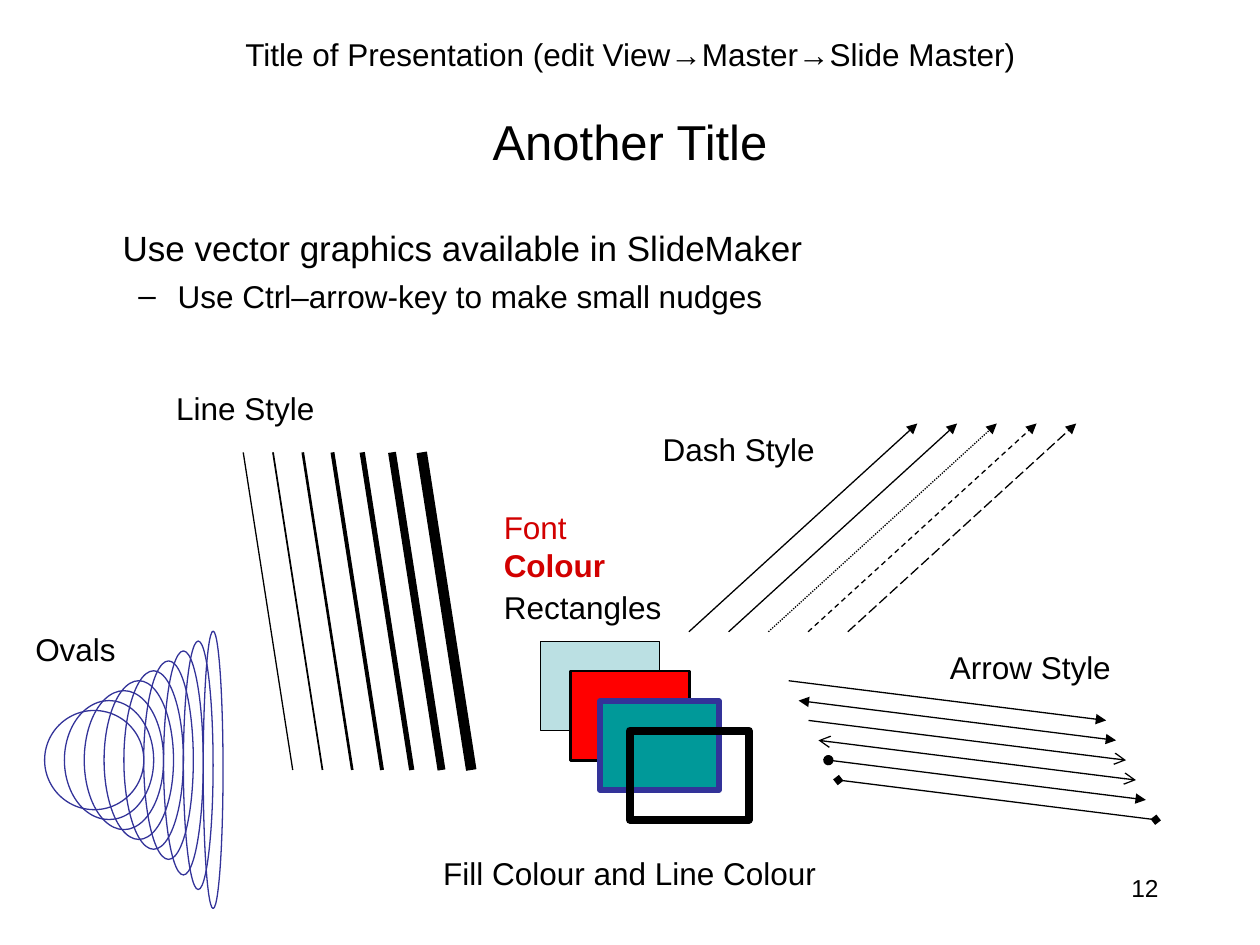
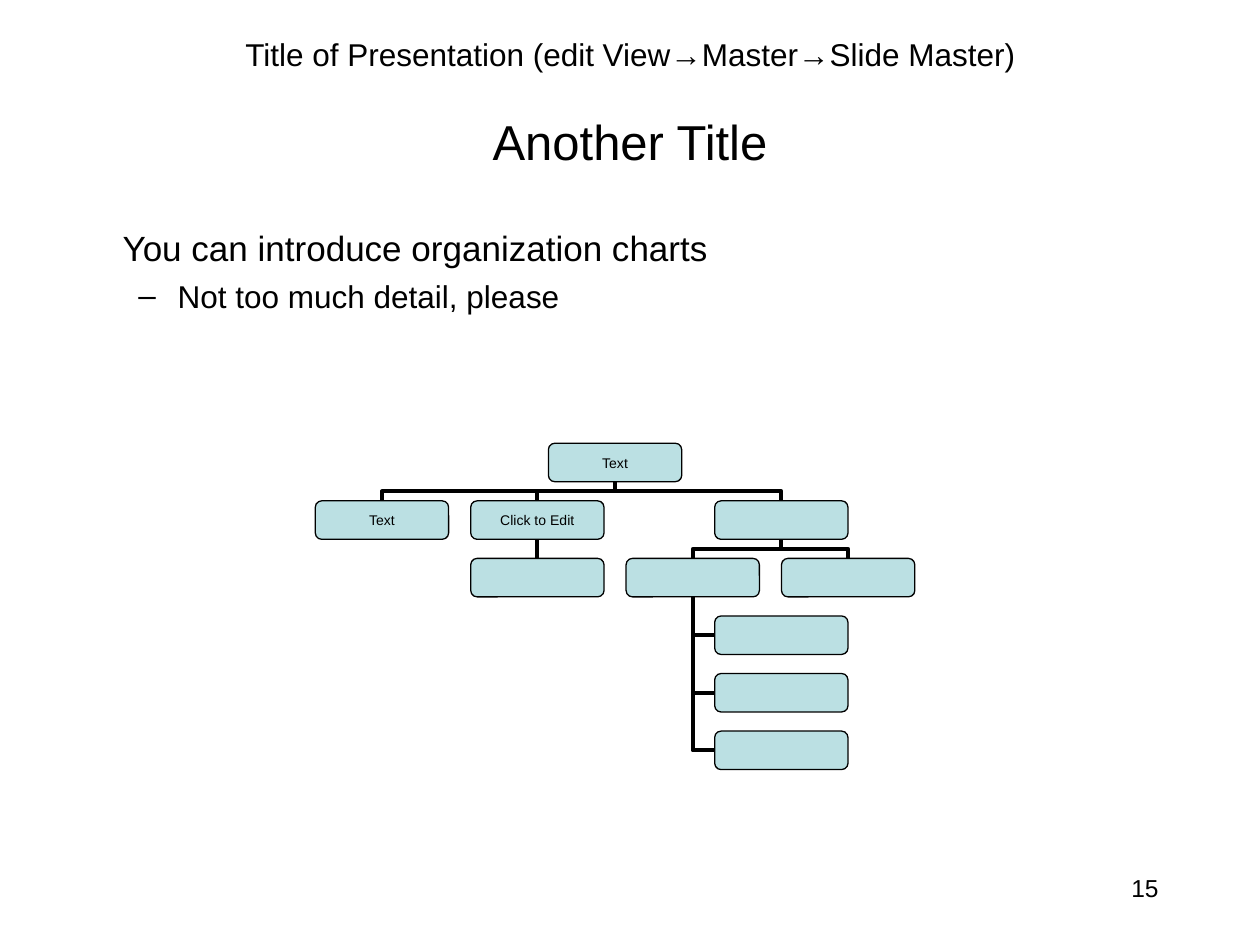
from dataclasses import dataclass

from lxml import etree
from pptx import Presentation
from pptx.dml.color import RGBColor
from pptx.enum import dml, shapes, text
from pptx.oxml import ns
from pptx.util import Pt


@dataclass(frozen=True)
class Theme:
    font: str = "Arial"
    black: str = "000000"
    pale: str = "BBE0E3"
    red: str = "FF0000"
    teal: str = "009999"
    indigo: str = "333399"
    warning: str = "D20000"
    title_size: int = 28
    lead_size: int = 20
    text_size: int = 18
    number_size: int = 14
    node_size: int = 8
    hairline: float = 0.75


THEME = Theme()
DASH = dml.MSO_LINE
KIND = shapes.MSO_SHAPE
STRAIGHT = shapes.MSO_CONNECTOR.STRAIGHT
ELBOW = shapes.MSO_CONNECTOR.ELBOW
CENTER = text.PP_ALIGN.CENTER
MIDDLE = text.MSO_ANCHOR.MIDDLE


def color(code):
    return RGBColor.from_string(code)


def points(*values):
    return [Pt(round(value, 2)) for value in values]


# Basic parts

def add_span(para, words, size=THEME.text_size, ink=THEME.black, bold=False):
    span = para.add_run()
    span.text = words
    span.font.name = THEME.font
    span.font.size = Pt(size)
    span.font.bold = bold
    span.font.color.rgb = color(ink)


def add_text(page, words, box, align=None, anchor=None, wrap=True, **style):
    holder = page.shapes.add_textbox(*points(*box))
    frame = holder.text_frame
    frame.word_wrap = wrap
    frame.vertical_anchor = anchor
    para = frame.paragraphs[0]
    para.alignment = align
    if words:
        add_span(para, words, **style)
    return frame


def add_label(page, words, left, top, width, **style):
    return add_text(page, words, (left, top, width, 28.8), wrap=False, **style)


def add_figure(page, kind, box, fill=None, ink=THEME.black, weight=THEME.hairline):
    figure = page.shapes.add_shape(kind, *points(*box))
    figure.shadow.inherit = False
    if fill:
        figure.fill.solid()
        figure.fill.fore_color.rgb = color(fill)
    else:
        figure.fill.background()
    figure.line.color.rgb = color(ink)
    figure.line.width = Pt(weight)
    return figure


def add_line(page, start, end, kind=STRAIGHT, weight=THEME.hairline,
             dash=None, head=None, tail=None):
    line = page.shapes.add_connector(kind, *points(*start, *end))
    line.line.color.rgb = color(THEME.black)
    line.line.width = Pt(weight)
    if dash:
        line.line.dash_style = dash
    properties = line._element.spPr
    outline = properties.find(ns.qn("a:ln"))
    for tag, tip in (("a:headEnd", head), ("a:tailEnd", tail)):
        if tip:
            etree.SubElement(outline, ns.qn(tag), type=tip)
    etree.SubElement(properties, ns.qn("a:effectLst"))
    return line


# Shared frame: running head, title, body text and slide number

def add_page(deck, number, title, lead, point):
    page = deck.slides.add_slide(deck.slide_layouts[6])
    add_text(page, "Title of Presentation (edit View→Master→Slide Master)",
             (37.4, 16.6, 645.8, 28.8), align=CENTER)
    add_text(page, str(number), (639.4, 495.4, 78.5, 24.5), size=THEME.number_size)
    add_text(page, title, (36, 49, 648, 62.6), align=CENTER, anchor=MIDDLE,
             size=THEME.title_size)
    add_body(page, (36, 126, 648, 356.4), lead, point)
    return page


def add_body(page, box, lead, point):
    frame = add_text(page, lead, box, size=THEME.lead_size)
    frame.paragraphs[0]._p.get_or_add_pPr().set("marL", str(Pt(27)))
    para = frame.add_paragraph()
    layout = para._p.get_or_add_pPr()
    layout.set("marL", str(Pt(58.5)))
    layout.set("indent", str(Pt(-22.5)))
    etree.SubElement(layout, ns.qn("a:buFont"), typeface=THEME.font)
    etree.SubElement(layout, ns.qn("a:buChar"), char="–")
    para.space_before = Pt(4.5)
    add_span(para, point)


# Drawing samples

def draw_line_styles(page, left, top):
    for index, weight in enumerate((0.75, 1, 1.5, 2.25, 3, 4.5, 6)):
        x = left + 17 * index
        add_line(page, (x, top), (x + 28.3, top + 181.5), weight=weight)
    add_label(page, "Line Style", left - 45.4, top - 39.6, 93.6)


def draw_dash_styles(page, left, top):
    styles = (None, None, DASH.ROUND_DOT, DASH.DASH, DASH.LONG_DASH)
    for index, dash in enumerate(styles):
        x = left + 22.7 * index
        add_line(page, (x, top + 119), (x + 130.5, top), dash=dash, tail="triangle")
    add_label(page, "Dash Style", left - 22.2, top, 101.5)


def draw_rectangles(page, left, top):
    looks = ((THEME.pale, THEME.black, 0.75), (THEME.red, THEME.black, 1.5),
             (THEME.teal, THEME.indigo, 3), (None, THEME.black, 4.5))
    for index, (fill, ink, weight) in enumerate(looks):
        shift = 17 * index
        add_figure(page, KIND.RECTANGLE, (left + shift, top + shift, 68, 51),
                   fill=fill, ink=ink, weight=weight)
    add_label(page, "Rectangles", left - 28.1, top - 33.8, 104.4)
    add_label(page, "Fill Colour and Line Colour", left - 62.7, top + 118.1, 227.5)


def draw_arrow_styles(page, left, top):
    tips = ((None, "triangle"), ("triangle", "triangle"), (None, "arrow"),
            ("arrow", "arrow"), ("oval", "triangle"), ("diamond", "diamond"))
    for index, (head, tail) in enumerate(tips):
        x, y = left + 5.67 * index, top + 11.35 * index
        add_line(page, (x, y), (x + 181.4, y + 22.7), head=head, tail=tail)
    add_label(page, "Arrow Style", left + 85, top - 22.5, 106.6)


def draw_ovals(page, left, top):
    heights = (56.7, 68, 79.4, 90.7, 102, 113.4, 128, 142, 158.5)
    for index, height in enumerate(heights):
        box = (left + 11.33 * index, top - 5.67 * index, 56.7 - 5.67 * index, height)
        add_figure(page, KIND.OVAL, box, ink=THEME.indigo)
    add_label(page, "Ovals", left - 12.4, top - 49.6, 60.5)


def draw_font_colour(page, left, top):
    frame = add_label(page, "Font ", left, top, 113, ink=THEME.warning)
    add_span(frame.paragraphs[0], "Colour", ink=THEME.warning, bold=True)


# Organization chart

NODE_WIDTH, NODE_HEIGHT = 76.2, 22
COLUMN_STEP, ROW_STEP = 88.8, 32.9

# name: (column, row, words)
NODES = {
    "root": (1.5, 0, "Text"),
    "first": (0, 1, "Text"),
    "second": (1, 1, "Click to Edit"),
    "third": (2.57, 1, ""),
    "second child": (1, 2, ""),
    "third left": (2, 2, ""),
    "third right": (3, 2, ""),
    "hanging 1": (2.57, 3, ""),
    "hanging 2": (2.57, 4, ""),
    "hanging 3": (2.57, 5, ""),
}
BRANCHES = {
    "root": ("first", "second", "third"),
    "second": ("second child",),
    "third": ("third left", "third right"),
}
HANGING = {"third left": ("hanging 1", "hanging 2", "hanging 3")}


def link_below(page, parent, child):
    """Leave the parent downwards, cross over and enter the child from above."""
    shift, drop = child[0] - parent[0], child[1] - parent[1]
    if shift == 0:
        add_line(page, parent, child, weight=2.25)
        return
    x, y = parent[0] + shift / 2, parent[1] + drop / 2
    elbow = add_line(page, (x - drop / 2, y + shift / 2),
                     (x + drop / 2, y - shift / 2), kind=ELBOW, weight=2.25)
    # A quarter turn makes the first leg vertical
    elbow._element.spPr.find(ns.qn("a:xfrm")).set("rot", "5400000")


def link_hanging(page, parent, child):
    """Run from the child's left side to below the parent, then up."""
    elbow = add_line(page, child, parent, kind=ELBOW, weight=2.25)
    elbow._element.spPr.find(ns.qn("a:prstGeom")).set("prst", "bentConnector2")


def draw_organization(page, left, top):
    corners = {name: (left + column * COLUMN_STEP, top + row * ROW_STEP)
               for name, (column, row, _) in NODES.items()}

    def spot(name, across, down):
        x, y = corners[name]
        return x + across * NODE_WIDTH, y + down * NODE_HEIGHT

    # Links lie behind the boxes
    for parent, children in HANGING.items():
        for child in children:
            link_hanging(page, spot(parent, 0.5, 1), spot(child, 0, 0.5))
    for parent, children in BRANCHES.items():
        for child in children:
            link_below(page, spot(parent, 0.5, 1), spot(child, 0.5, 0))

    for name, (_, _, words) in NODES.items():
        node = add_figure(page, KIND.ROUNDED_RECTANGLE,
                          (*corners[name], NODE_WIDTH, NODE_HEIGHT), fill=THEME.pale)
        if words:
            frame = node.text_frame
            frame.word_wrap = False
            frame.vertical_anchor = MIDDLE
            frame.margin_left = frame.margin_right = Pt(2.9)
            frame.margin_top = frame.margin_bottom = Pt(1.4)
            frame.paragraphs[0].alignment = CENTER
            add_span(frame.paragraphs[0], words, size=THEME.node_size)


def build_graphics_page(deck):
    page = add_page(deck, 12, "Another Title",
                    "Use vector graphics available in SlideMaker",
                    "Use Ctrl–arrow-key to make small nudges")
    draw_line_styles(page, 139, 258.5)
    draw_dash_styles(page, 393.7, 242)
    draw_rectangles(page, 308.9, 366.5)
    draw_arrow_styles(page, 450.7, 389)
    draw_ovals(page, 25.5, 406)
    draw_font_colour(page, 280.8, 286.6)


def build_organization_page(deck):
    page = add_page(deck, 15, "Another Title",
                    "You can introduce organization charts",
                    "Not too much detail, please")
    draw_organization(page, 180.2, 253.3)


def main():
    deck = Presentation()
    deck.slide_width, deck.slide_height = Pt(720), Pt(540)
    build_graphics_page(deck)
    build_organization_page(deck)
    deck.save("out.pptx")


if __name__ == "__main__":
    main()
